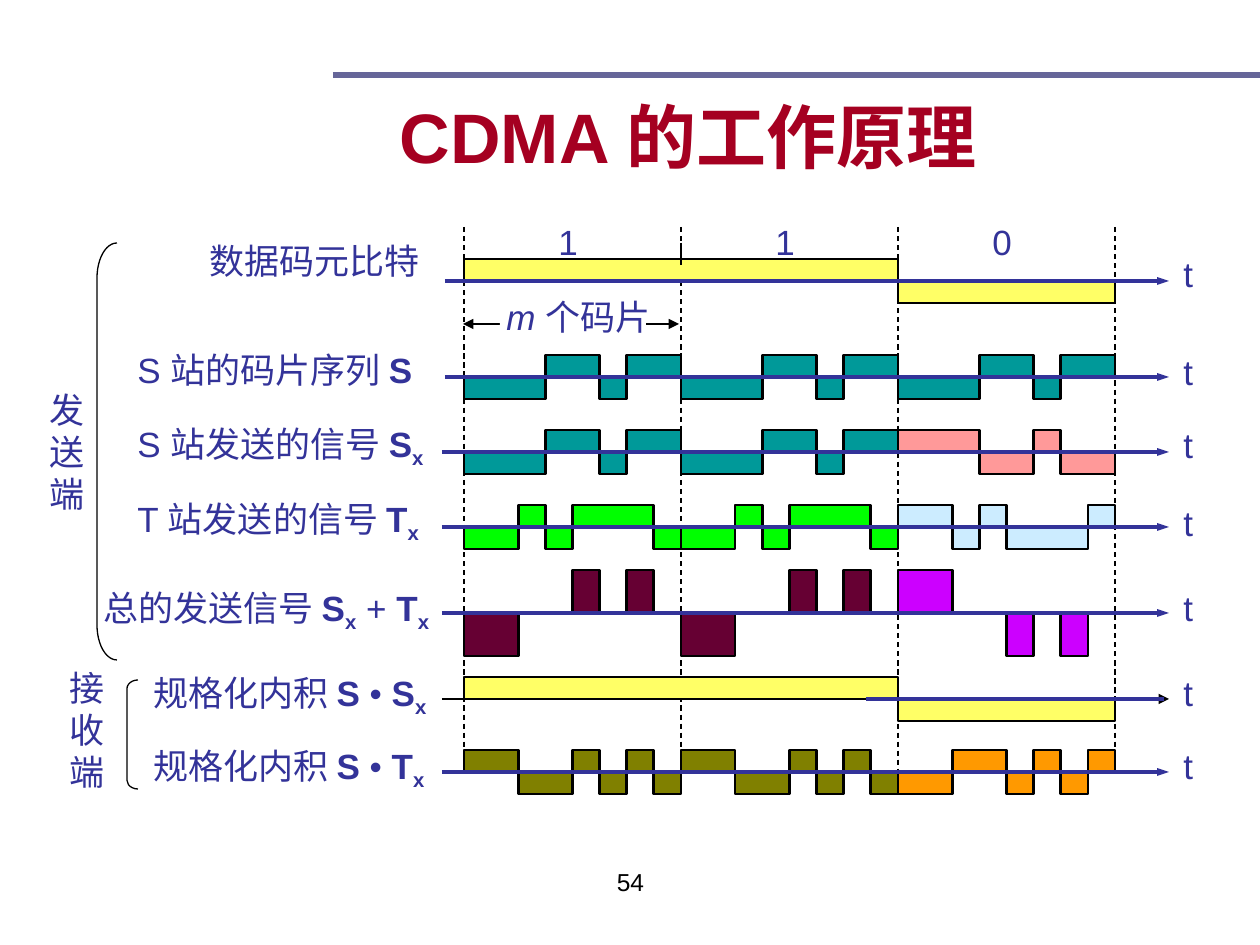
from itertools import groupby

from lxml.etree import SubElement
from pptx import Presentation
from pptx.dml.color import RGBColor
from pptx.enum.dml import MSO_LINE
from pptx.enum.shapes import MSO_CONNECTOR, MSO_SHAPE
from pptx.enum.text import MSO_ANCHOR, MSO_AUTO_SIZE, PP_ALIGN
from pptx.oxml.ns import qn
from pptx.util import Pt

PX = 914400 / 126  # EMU in one px

BLACK = RGBColor(0x00, 0x00, 0x00)
WHITE = RGBColor(0xFF, 0xFF, 0xFF)
SLATE = RGBColor(0x66, 0x66, 0x99)
CRIMSON = RGBColor(0xA5, 0x00, 0x21)
NAVY = RGBColor(0x33, 0x33, 0x99)
YELLOW = RGBColor(0xFF, 0xFF, 0x66)
TEAL = RGBColor(0x00, 0x99, 0x99)
PINK = RGBColor(0xFF, 0x99, 0x99)
GREEN = RGBColor(0x00, 0xFF, 0x00)
ICE = RGBColor(0xCC, 0xEC, 0xFF)
WINE = RGBColor(0x66, 0x00, 0x33)
PURPLE = RGBColor(0xCC, 0x00, 0xFF)
OLIVE = RGBColor(0x80, 0x80, 0x00)
ORANGE = RGBColor(0xFF, 0x99, 0x00)

BIT = 217       # width of one data bit
CHIP = BIT / 8  # eight chips to a bit
LEVEL = {"+": -1, "0": 0, "-": 1}

B, SUB = {"bold": True}, {"bold": True, "sub": True}
S_X = [("S", B), ("x", SUB)]
T_X = [("T", B), ("x", SUB)]

# label box, label runs, top of "t", axis y, axis start, amplitude, chips of each bit
ROWS = [
    ((197, 233, 236, 55), [("数据码元比特", {})], 246, 281, 445, 22,
     [("+" * 16 + "-" * 8, YELLOW)]),
    ((125, 349, 326, 49), [("S 站的码片序列 ", {}), ("S", B)], 344, 377, 445, 22,
     [("---++-++", TEAL)] * 3),
    ((125, 416, 338, 60), [("S 站发送的信号 ", {})] + S_X, 417, 452, 442, 22,
     [("---++-++", TEAL)] * 2 + [("+++--+--", PINK)]),
    ((125, 491, 334, 60), [("T 站发送的信号 ", {})] + T_X, 495, 527, 442, 22,
     [("--+-+++-", GREEN)] * 2 + [("++-+---+", ICE)]),
    ((91, 580, 369, 60), [("总的发送信号 ", {})] + S_X + [(" + ", {})] + T_X,
     580, 613, 442, 43, [("--00+0+0", WINE)] * 2 + [("++00-0-0", PURPLE)]),
    ((141, 665, 316, 60), [("规格化内积 ", {}), ("S ", B), ("• ", {})] + S_X,
     665, 699, 442, 22, [("+" * 16 + "-" * 8, YELLOW)]),
    ((141, 738, 314, 60), [("规格化内积 ", {}), ("S ", B), ("• ", {})] + T_X,
     738, 772, 442, 22, [("++--+-+-", OLIVE)] * 2 + [("--++-+-+", ORANGE)]),
]
INNER_PRODUCT_ROW = 5


def emu(*values):
    return [round(v * PX) for v in values]


def add_run(p, text, color=NAVY, size=20, sub=False, **style):
    r = p.add_run()
    r.text = text
    style = {"name": "Arial", "size": Pt(size), **style}
    for name, value in style.items():
        setattr(r.font, name, value)
    r.font.color.rgb = color
    if sub:
        r.font._element.set("baseline", "-25000")


def add_text(s, box, paragraphs, align=PP_ALIGN.LEFT, spacing=None, wrap=False, **style):
    tf = s.shapes.add_textbox(*emu(*box)).text_frame
    tf.word_wrap = wrap
    tf.auto_size = MSO_AUTO_SIZE.NONE if wrap else MSO_AUTO_SIZE.SHAPE_TO_FIT_TEXT
    for i, runs in enumerate(paragraphs):
        p = tf.paragraphs[0] if i == 0 else tf.add_paragraph()
        p.alignment, p.line_spacing = align, spacing
        for text, run_style in runs:
            add_run(p, text, **style, **run_style)


def add_line(s, ends, color=BLACK, width=0.75, dash=None, arrows=(), arrow_width="med"):
    c = s.shapes.add_connector(MSO_CONNECTOR.STRAIGHT, *emu(*ends))
    c.line.color.rgb, c.line.width = color, Pt(width)
    if dash:
        c.line.dash_style = dash
    for end in arrows:
        SubElement(c.line._get_or_add_ln(), qn(f"a:{end}"), type="triangle",
                   w=arrow_width, len="med")
    SubElement(c._element.spPr, qn("a:effectLst"))


def add_wave(s, x, y, amplitude, chips, color):
    """Draws a square wave around the axis y, from a string of chip levels."""
    points, right = [], x
    for level, run in groupby(chips):
        left, right = right, right + CHIP * len(list(run))
        top = y + LEVEL[level] * amplitude
        points += [(left, top), (right, top)]
    points.append((right, y))
    builder = s.shapes.build_freeform(*emu(x, y))
    builder.add_line_segments([emu(*point) for point in points], close=False)
    sp = builder.convert_to_shape()
    sp.shadow.inherit = False
    sp.fill.solid()
    sp.fill.fore_color.rgb = color
    sp.line.color.rgb, sp.line.width = BLACK, Pt(1.5)


def add_title(s, box):
    add_line(s, (333, 75, 1260, 75), SLATE, 3)
    sp = s.shapes.title
    sp.left, sp.top, sp.width, sp.height = emu(*box)
    tf = sp.text_frame
    tf.vertical_anchor = MSO_ANCHOR.BOTTOM
    p = tf.paragraphs[0]
    p.alignment = PP_ALIGN.CENTER
    add_run(p, "CDMA 的工作原理 ", CRIMSON, 40, bold=True)


def add_diagram(s, x, y):
    """Timing diagram; x is the start of the first bit, y the top of the guides."""
    # Bit boundaries
    for i, bottom in enumerate((751, 748, 769, 750)):
        add_line(s, (x + i * BIT, y, x + i * BIT, bottom), dash=MSO_LINE.DASH)

    # Signals with their axes and labels
    for i, (box, label, t_top, axis, start, amplitude, waves) in enumerate(ROWS):
        left = x
        for chips, color in waves:
            add_wave(s, left, axis, amplitude, chips, color)
            left += CHIP * len(chips)
        ends = (start, axis, x + 705, axis)
        if i == INNER_PRODUCT_ROW:
            add_line(s, ends, arrows=["tailEnd"])
            add_line(s, (x + 402, axis, x + 700, axis), NAVY, 2.25)
        else:
            add_line(s, ends, NAVY, 2.25, arrows=["tailEnd"], arrow_width="sm")
        add_text(s, box, [label], spacing=0.85 if i == 1 else None)
        add_text(s, (x + 707, t_top, 34, 55), [[("t", {})]])

    # Data bits
    add_line(s, (x + BIT, y + 16, x + BIT, y + 38))
    for i, bit in enumerate("110"):
        add_text(s, (x + 82 + i * BIT, y - 13, 44, 55), [[(bit, {})]])

    # Length of one bit in chips
    add_line(s, (x - 1, y + 97, x + 215, y + 97), arrows=["headEnd", "tailEnd"])
    sp = s.shapes.add_shape(MSO_SHAPE.RECTANGLE, *emu(x + 36, y + 75, 146, 38))
    sp.shadow.inherit = False
    sp.fill.solid()
    sp.fill.fore_color.rgb = WHITE
    sp.line.fill.background()
    add_text(s, (x + 30, y + 62, 178, 55), [[("m ", {"italic": True}), ("个码片", {})]])


def add_side(s, name, text_box, bracket_box, curve):
    add_text(s, text_box, [[(char, {})] for char in name])
    sp = s.shapes.add_shape(MSO_SHAPE.LEFT_BRACKET, *emu(*bracket_box))
    sp.shadow.inherit = False
    sp.adjustments[0] = curve
    sp.fill.background()
    sp.line.color.rgb, sp.line.width = BLACK, Pt(0.75)


def main():
    prs = Presentation()
    prs.slide_width, prs.slide_height = emu(1260, 945)
    s = prs.slides.add_slide(prs.slide_layouts[5])
    add_title(s, (159, 35, 1074, 149))
    add_diagram(s, 464, 227)
    add_side(s, "发送端", (37, 382, 60, 139), (97, 243, 20, 417), 1.75)
    add_side(s, "接收端", (57, 660, 60, 139), (127, 680, 11, 109), 0.8)
    # Page number
    add_text(s, (431, 861, 399, 66), [[("54", {})]], PP_ALIGN.CENTER, wrap=True,
             color=BLACK, size=14)
    prs.save("out.pptx")


if __name__ == "__main__":
    main()
